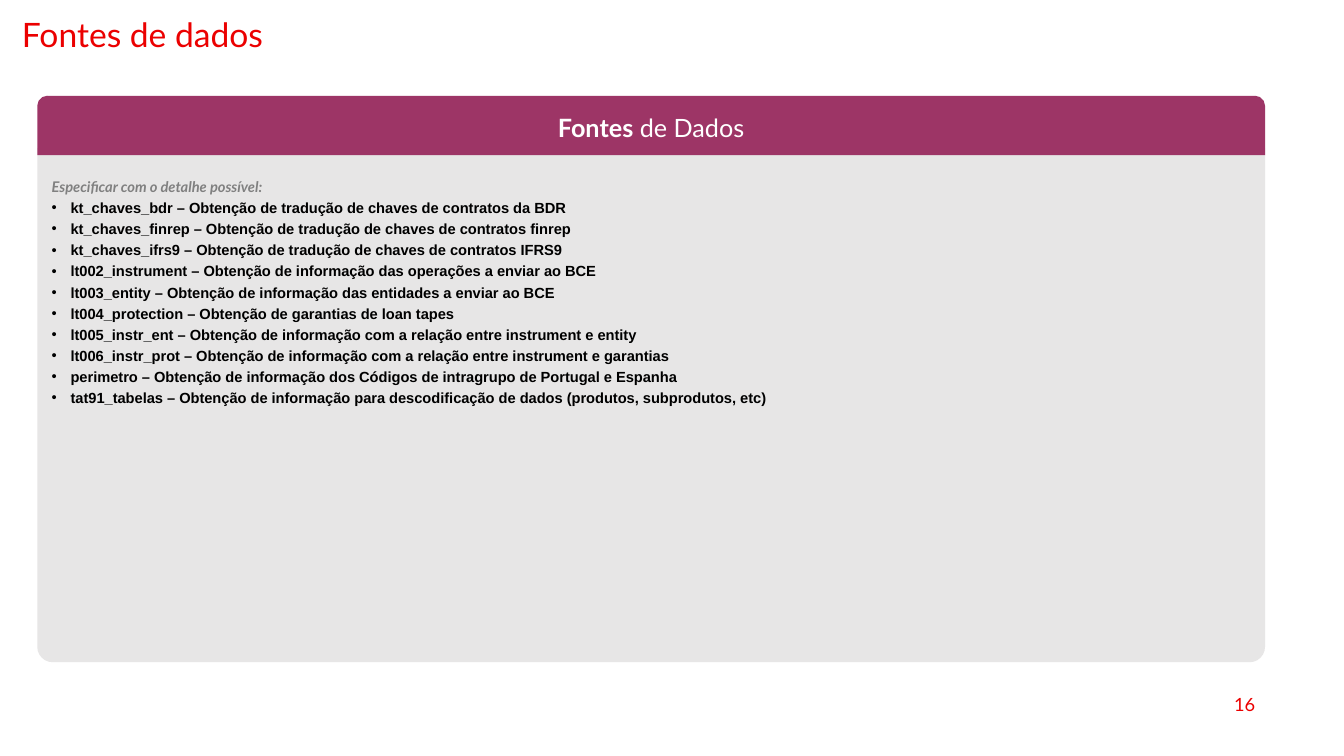
from dataclasses import dataclass

from lxml import etree
from pptx import Presentation
from pptx.dml.color import RGBColor
from pptx.enum.shapes import MSO_SHAPE
from pptx.enum.text import MSO_ANCHOR, PP_ALIGN
from pptx.oxml.ns import qn
from pptx.shapes.autoshape import Shape
from pptx.slide import Slide
from pptx.text.text import TextFrame, _Paragraph
from pptx.util import Pt

ROUND_TOP = MSO_SHAPE.ROUND_2_SAME_RECTANGLE
TOP, MIDDLE = MSO_ANCHOR.TOP, MSO_ANCHOR.MIDDLE
LEFT, CENTER, RIGHT = PP_ALIGN.LEFT, PP_ALIGN.CENTER, PP_ALIGN.RIGHT

RED = RGBColor(0xEB, 0x00, 0x00)
PLUM = RGBColor(0x9D, 0x35, 0x66)
LIGHT_GRAY = RGBColor(0xE7, 0xE6, 0xE6)
GRAY = RGBColor(0x80, 0x80, 0x80)
BLACK = RGBColor(0x00, 0x00, 0x00)
WHITE = RGBColor(0xFF, 0xFF, 0xFF)

PANEL_LEFT, PANEL_WIDTH = 26.64, 876.96
BULLET_INDENT = 13.5


@dataclass(frozen=True)
class Style:
    size: float
    color: RGBColor
    font: str = "Lato"
    bold: bool = False
    italic: bool = False


@dataclass(frozen=True)
class Box:
    left: float
    top: float
    width: float
    height: float


@dataclass(frozen=True)
class Source:
    name: str
    purpose: str


TITLE = Style(24, RED)
PAGE_NUMBER = Style(13, RED)
HEADER = Style(18, WHITE)
HEADER_BOLD = Style(18, WHITE, bold=True)
HINT = Style(10.5, GRAY, bold=True, italic=True)
ITEM = Style(10.5, BLACK, "Arial", bold=True)

SOURCES = [
    Source("kt_chaves_bdr", "Obtenção de tradução de chaves de contratos da BDR"),
    Source("kt_chaves_finrep", "Obtenção de tradução de chaves de contratos finrep"),
    Source("kt_chaves_ifrs9", "Obtenção de tradução de chaves de contratos IFRS9"),
    Source("lt002_instrument", "Obtenção de informação das operações a enviar ao BCE"),
    Source("lt003_entity", "Obtenção de informação das entidades a enviar ao BCE"),
    Source("lt004_protection", "Obtenção de garantias de loan tapes"),
    Source("lt005_instr_ent", "Obtenção de informação com a relação entre instrument e entity"),
    Source("lt006_instr_prot", "Obtenção de informação com a relação entre instrument e garantias"),
    Source("perimetro", "Obtenção de informação dos Códigos de intragrupo de Portugal e Espanha"),
    Source("tat91_tabelas",
           "Obtenção de informação para descodificação de dados (produtos, subprodutos, etc)"),
]


def add_run(p: _Paragraph, text: str, style: Style) -> None:
    r = p.add_run()
    r.text = text
    r.font.size = Pt(style.size)
    r.font.name = style.font
    r.font.bold = style.bold
    r.font.italic = style.italic
    r.font.color.rgb = style.color


def set_bullet(p: _Paragraph) -> None:
    pPr = p._p.get_or_add_pPr()
    pPr.set("marL", str(Pt(BULLET_INDENT)))
    pPr.set("indent", str(-Pt(BULLET_INDENT)))
    etree.SubElement(pPr, qn("a:buFont")).set("typeface", "Arial")
    etree.SubElement(pPr, qn("a:buChar")).set("char", "•")


def add_label(s: Slide, box: Box, text: str, style: Style,
              align: PP_ALIGN, anchor: MSO_ANCHOR) -> TextFrame:
    tf = s.shapes.add_textbox(Pt(box.left), Pt(box.top), Pt(box.width), Pt(box.height)).text_frame
    tf.word_wrap = True
    tf.vertical_anchor = anchor
    p = tf.paragraphs[0]
    p.alignment = align
    add_run(p, text, style)
    return tf


def add_panel(s: Slide, box: Box, fill: RGBColor, anchor: MSO_ANCHOR) -> Shape:
    sp = s.shapes.add_shape(ROUND_TOP, Pt(box.left), Pt(box.top), Pt(box.width), Pt(box.height))
    sp.shadow.inherit = False
    sp.fill.solid()
    sp.fill.fore_color.rgb = fill
    sp.line.fill.background()
    sp.text_frame.word_wrap = True
    sp.text_frame.vertical_anchor = anchor
    return sp


def add_source_panel(s: Slide) -> None:
    sp = add_panel(s, Box(PANEL_LEFT, 105.84, PANEL_WIDTH, 367.2), LIGHT_GRAY, TOP)
    sp.adjustments[0] = 0
    sp.adjustments[1] = 0.03
    tf = sp.text_frame
    tf.margin_top = Pt(18.7)
    p = tf.paragraphs[0]
    p.alignment = LEFT
    p.line_spacing = 1.2
    add_run(p, "Especificar com o detalhe possível:", HINT)
    for source in SOURCES:
        p = tf.add_paragraph()
        p.alignment = LEFT
        p.line_spacing = 1.2
        set_bullet(p)
        add_run(p, f"{source.name} – {source.purpose}", ITEM)


def add_header(s: Slide) -> None:
    sp = add_panel(s, Box(PANEL_LEFT, 68.4, PANEL_WIDTH, 42.48), PLUM, MIDDLE)
    p = sp.text_frame.paragraphs[0]
    p.alignment = CENTER
    add_run(p, "Fontes", HEADER_BOLD)
    add_run(p, " de Dados", HEADER)


def main() -> None:
    prs = Presentation()
    prs.slide_width, prs.slide_height = Pt(960), Pt(540)
    s = prs.slides.add_slide(prs.slide_layouts[6])
    title = add_label(s, Box(8.64, 9.36, 486.72, 42.48), "Fontes de dados", TITLE, LEFT, TOP)
    title.paragraphs[0].line_spacing = 0.9
    add_label(s, Box(687.6, 488.88, 216, 28.8), "16", PAGE_NUMBER, RIGHT, MIDDLE)
    add_source_panel(s)
    add_header(s)
    prs.save("out.pptx")


if __name__ == "__main__":
    main()
